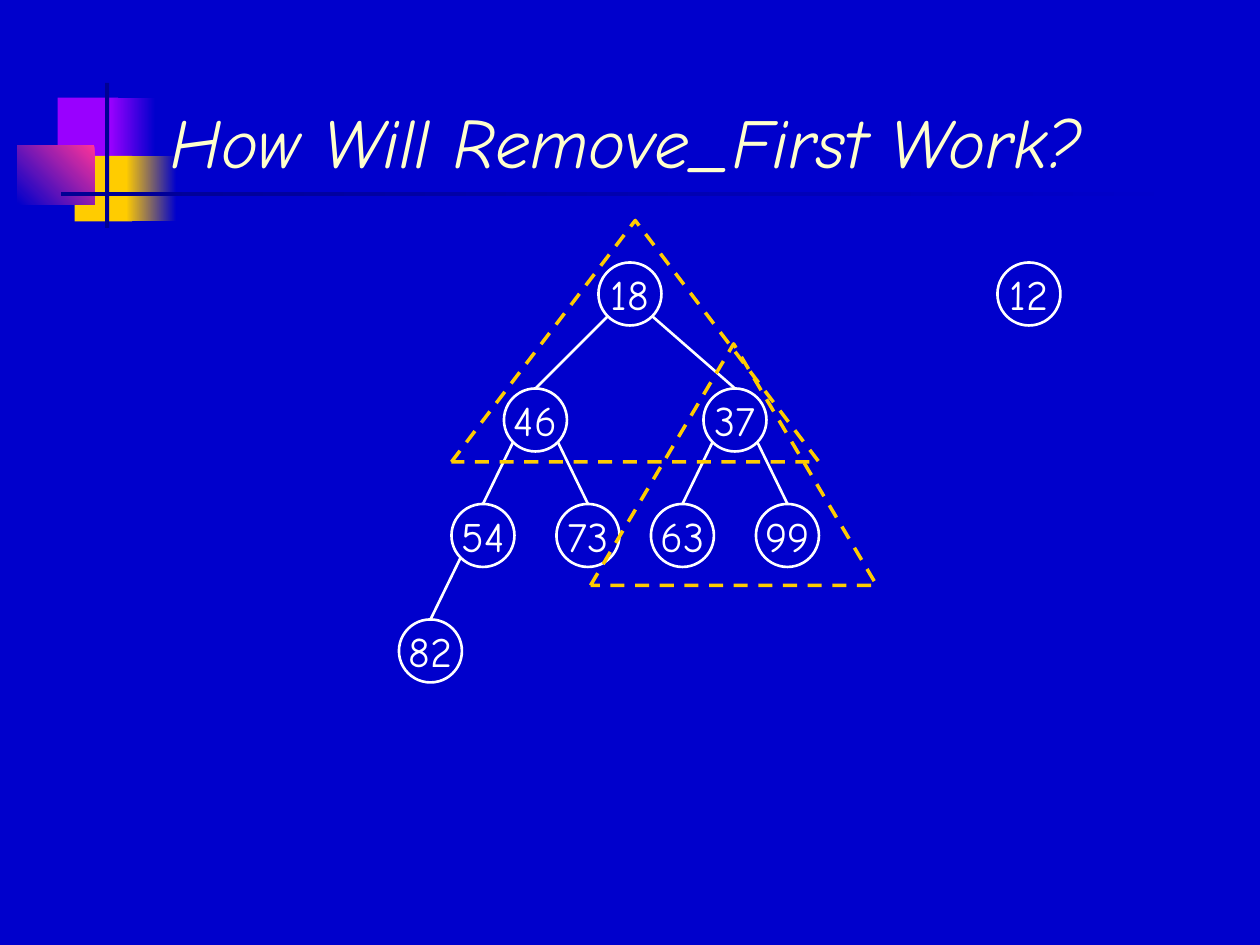
from lxml.etree import SubElement
from pptx import Presentation
from pptx.dml.color import RGBColor
from pptx.enum.dml import MSO_LINE
from pptx.enum.shapes import MSO_CONNECTOR, MSO_SHAPE
from pptx.enum.text import MSO_ANCHOR, PP_ALIGN
from pptx.oxml.ns import qn
from pptx.util import Inches, Pt

COLORS = {
    "blue": "0000CC",
    "navy": "000094",
    "purple": "9900FF",
    "gold": "FFCC00",
    "pink": "FF3399",
    "cream": "FFFFCC",
    "white": "FFFFFF",
}
COLUMNS, ROWS = 120, 90
NODE_SIZE = 6
EDGE_OFFSET = 2.15

DECORATIONS = [
    ((5.5, 9.3, 5.75, 6.25), ["purple"], 0),
    ((10.5, 9.3, 4.3, 6.25), ["blue", "purple"], 180),
    ((7.1, 14.85, 5.5, 6.25), ["gold"], 0),
    ((12, 14.85, 4.8, 6.25), ["blue", "gold"], 180),
    ((1.65, 13.85, 7.35, 5.6), ["pink", "blue"], 225),
    ((10, 7.9, 0.4, 13.8), ["navy"], 0),
    ((5.8, 18.25, 108, 0.4), ["blue", "navy"], 180),
]
NODES = {
    "12": (95, 25),
    "18": (57, 25),
    "46": (48, 37),
    "37": (67, 37),
    "54": (43, 48),
    "73": (53, 48),
    "63": (62, 48),
    "99": (72, 48),
    "82": (38, 59),
}
CHILDREN = {"18": ("46", "37"), "46": ("54", "73"), "37": ("63", "99"), "54": ("82",)}
TRIANGLES = [(43, 21, 35, 23), (56.25, 32.75, 27.25, 23)]


def color(name):
    """Return the named colour."""
    return RGBColor.from_string(COLORS[name])


class HeapSlide:
    """Holds the style and the slide, and draws on a grid of columns and rows."""

    def __init__(self, presentation, font="Comic Neue"):
        """Add a blank slide with a plain background."""
        self.font = font
        self.column = presentation.slide_width / COLUMNS
        self.row = presentation.slide_height / ROWS
        self.slide = presentation.slides.add_slide(presentation.slide_layouts[6])
        self.slide.background.fill.solid()
        self.slide.background.fill.fore_color.rgb = color("blue")

    def box(self, left, top, width, height):
        """Turn grid units into lengths."""
        return (round(left * self.column), round(top * self.row),
                round(width * self.column), round(height * self.row))

    def shape(self, preset, place):
        """Add a preset shape without a shadow."""
        shape = self.slide.shapes.add_shape(preset, *self.box(*place))
        shape.shadow.inherit = False
        return shape

    def label(self, shape, text, size, color_name):
        """Put one line of text in a shape and return its paragraph."""
        paragraph = shape.text_frame.paragraphs[0]
        paragraph.text = text
        paragraph.font.name = self.font
        paragraph.font.size = Pt(size)
        paragraph.font.color.rgb = color(color_name)
        return paragraph

    def decoration(self, place, fill_colors, angle):
        """Add a rectangle with a plain or gradient fill."""
        shape = self.shape(MSO_SHAPE.RECTANGLE, place)
        shape.line.fill.background()
        if len(fill_colors) == 1:
            shape.fill.solid()
            shape.fill.fore_color.rgb = color(fill_colors[0])
            return
        shape.fill.gradient()
        shape.fill.gradient_angle = angle
        for stop, name in zip(shape.fill.gradient_stops, fill_colors):
            stop.color.rgb = color(name)

    def title(self, text, place):
        """Add the slide title."""
        shape = self.slide.shapes.add_textbox(*self.box(*place))
        shape.text_frame.word_wrap = True
        shape.text_frame.vertical_anchor = MSO_ANCHOR.BOTTOM
        self.label(shape, text, 40, "cream").font.italic = True

    def node(self, text, left, top):
        """Add a round tree node."""
        shape = self.shape(MSO_SHAPE.OVAL, (left, top, NODE_SIZE, NODE_SIZE))
        shape.fill.solid()
        shape.fill.fore_color.rgb = color("blue")
        shape.line.color.rgb = color("white")
        shape.line.width = Pt(1.5)
        shape.text_frame.word_wrap = False
        shape.text_frame.vertical_anchor = MSO_ANCHOR.MIDDLE
        self.label(shape, text, 24, "white").alignment = PP_ALIGN.CENTER
        return shape

    def edge(self, parent, child):
        """Join the lower side of a parent to the top of its child."""
        side = 1 if child.left > parent.left else -1
        start_x = parent.left + parent.width // 2 + round(side * EDGE_OFFSET * self.column)
        start_y = parent.top + parent.height // 2 + round(EDGE_OFFSET * self.row)
        connector = self.slide.shapes.add_connector(
            MSO_CONNECTOR.STRAIGHT, start_x, start_y, child.left, child.top)
        connector.end_connect(child, 0)
        connector.line.color.rgb = color("white")
        connector.line.width = Pt(1.5)
        SubElement(connector.element.spPr, qn("a:effectLst"))

    def triangle(self, place):
        """Add a dashed triangle around a subtree."""
        shape = self.shape(MSO_SHAPE.ISOSCELES_TRIANGLE, place)
        shape.fill.background()
        shape.line.color.rgb = color("gold")
        shape.line.width = Pt(2)
        shape.line.dash_style = MSO_LINE.DASH


def main():
    """Build the slide and save it."""
    presentation = Presentation()
    presentation.slide_width = Inches(10)
    presentation.slide_height = Inches(7.5)
    heap = HeapSlide(presentation)
    for decoration in DECORATIONS:
        heap.decoration(*decoration)
    heap.title("How Will Remove_First Work?", (15.1, 3, 102.25, 15))
    nodes = {text: heap.node(text, *place) for text, place in NODES.items()}
    for parent, children in CHILDREN.items():
        for child in children:
            heap.edge(nodes[parent], nodes[child])
    for place in TRIANGLES:
        heap.triangle(place)
    presentation.save("out.pptx")


if __name__ == "__main__":
    main()
